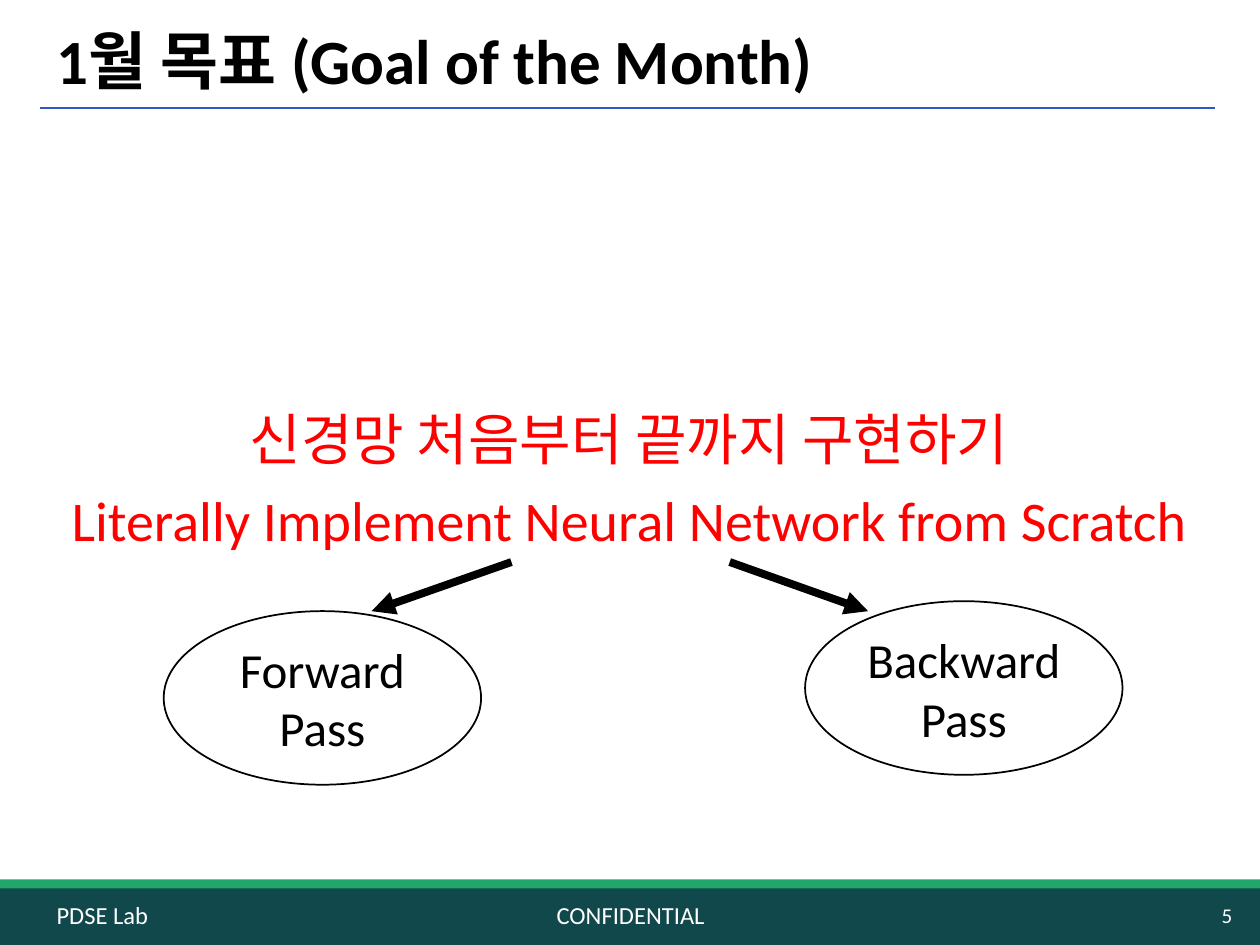
from lxml import etree
from pptx import Presentation
from pptx.dml.color import RGBColor
from pptx.enum.shapes import MSO_CONNECTOR, MSO_SHAPE
from pptx.enum.text import MSO_ANCHOR, MSO_AUTO_SIZE, PP_ALIGN
from pptx.oxml.ns import qn
from pptx.util import Cm, Pt

LEFT, CENTER, RIGHT = PP_ALIGN.LEFT, PP_ALIGN.CENTER, PP_ALIGN.RIGHT
MIDDLE, BOTTOM = MSO_ANCHOR.MIDDLE, MSO_ANCHOR.BOTTOM
RECTANGLE, OVAL = MSO_SHAPE.RECTANGLE, MSO_SHAPE.OVAL
STRAIGHT = MSO_CONNECTOR.STRAIGHT
NO_AUTOFIT = MSO_AUTO_SIZE.NONE
color = RGBColor.from_string


def write(shape, text, size, hex_color="000000", align=CENTER, anchor=MIDDLE,
          bold=False, space_before=0, inset=0.13):
    frame = shape.text_frame
    frame.word_wrap = True
    frame.auto_size = NO_AUTOFIT
    frame.vertical_anchor = anchor
    frame.margin_top = frame.margin_bottom = Cm(inset)
    frame.text = text
    for paragraph in frame.paragraphs:
        paragraph.alignment = align
        paragraph.space_before = Pt(space_before)
        font = paragraph.runs[0].font
        font.name = "Calibri"
        font.size = Pt(size)
        font.bold = bold
        font.color.rgb = color(hex_color)


def add_line(start, end, hex_color, width):
    line = shapes.add_connector(
        STRAIGHT, Cm(start[0]), Cm(start[1]), Cm(end[0]), Cm(end[1]))
    line.line.color.rgb = color(hex_color)
    line.line.width = Pt(width)
    etree.SubElement(line._element.spPr, qn("a:effectLst"))
    return line


presentation = Presentation()
presentation.slide_width = Cm(25.4)
presentation.slide_height = Cm(19.05)
slide = presentation.slides.add_slide(presentation.slide_layouts[5])
shapes = slide.shapes

for top, height, fill in [(17.9, 1.15, "11484B"), (17.73, 0.18, "21A76A")]:
    bar = shapes.add_shape(RECTANGLE, 0, Cm(top), Cm(25.4), Cm(height))
    bar.shadow.inherit = False
    bar.fill.solid()
    bar.fill.fore_color.rgb = color(fill)
    bar.line.fill.background()

add_line((0.81, 2.18), (24.5, 2.18), "3157C1", 1.25)

title = shapes.title
title.left, title.top, title.width, title.height = Cm(0.89), Cm(0.48), Cm(23.6), Cm(1.42)
write(title, "1월 목표 (Goal of the Month)", 36, align=LEFT, bold=True, inset=0)

goal = shapes.add_textbox(Cm(0.89), Cm(7.5), Cm(23.6), Cm(3.65))
write(goal, "신경망 처음부터 끝까지 구현하기\nLiterally Implement Neural Network from Scratch",
      32, "FF0000", anchor=BOTTOM, space_before=8, inset=0)

footers = [
    ("PDSE Lab", 0.89, 8.05, 14, LEFT),
    ("CONFIDENTIAL", 8.69, 8.05, 14, CENTER),
    ("5", 19.81, 5.28, 12, RIGHT),
]
for text, left, width, size, align in footers:
    footer = shapes.add_textbox(Cm(left), Cm(17.81), Cm(width), Cm(1.27))
    write(footer, text, size, "FFFFFF", align)

passes = [
    ("Forward\nPass", 3.3, 12.32, (10.31, 11.33), (7.49, 12.32)),
    ("Backward Pass", 16.23, 12.12, (14.71, 11.33), (17.5, 12.32)),
]
for text, left, top, arrow_start, arrow_end in passes:
    ellipse = shapes.add_shape(OVAL, Cm(left), Cm(top), Cm(6.4), Cm(3.5))
    ellipse.shadow.inherit = False
    ellipse.fill.solid()
    ellipse.fill.fore_color.rgb = color("FFFFFF")
    ellipse.line.color.rgb = color("000000")
    ellipse.line.width = Pt(1)
    write(ellipse, text, 28)
    arrow = add_line(arrow_start, arrow_end, "000000", 4.5)
    etree.SubElement(arrow.line._get_or_add_ln(), qn("a:tailEnd"), type="triangle")

presentation.save("out.pptx")
